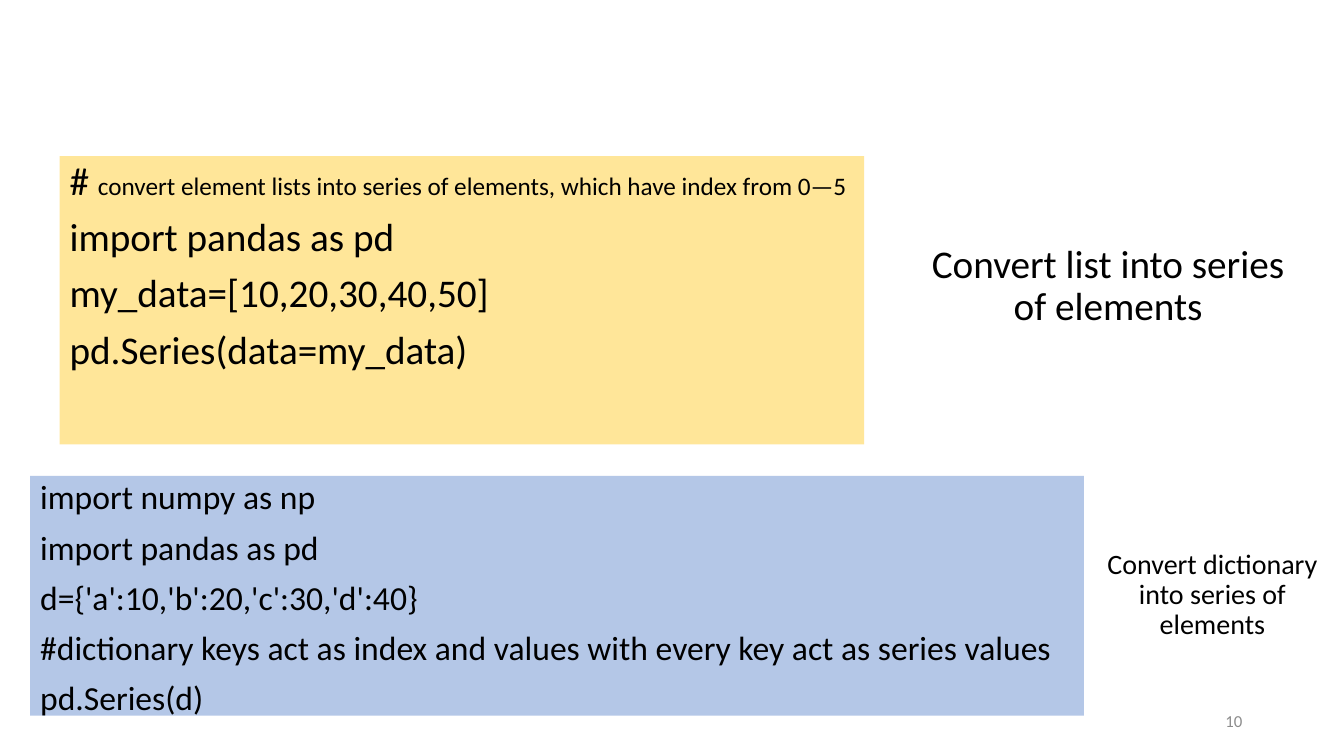
from pptx import Presentation
from pptx.dml.color import RGBColor as Rgb
from pptx.enum.text import MSO_ANCHOR as Anchor, MSO_AUTO_SIZE as Fit, PP_ALIGN as Align
from pptx.oxml.ns import qn
from pptx.util import Inches, Pt
from lxml.etree import SubElement

HUES = {"ink": "000000", "gray": "8C8C8C", "gold": "FFE699", "blue": "B4C7E7"}


def write(par, text, size=28, hue="ink"):
    run = par.add_run()
    run.text = text
    run.font.name = "Calibri"
    run.font.size = Pt(size)
    run.font.color.rgb = Rgb.from_string(HUES[hue])


class Deck:
    def __init__(self):
        self.show = Presentation()
        self.show.slide_width = Inches(13.33)
        self.show.slide_height = Inches(7.5)
        self.slide = self.show.slides.add_slide(self.show.slide_layouts[1])

    def place(self, shape, box):
        shape.left, shape.top, shape.width, shape.height = map(Inches, box)

    def fill(self, shape, lines, size=28, hue="ink", align=Align.LEFT,
             anchor=Anchor.TOP, lead=0.9):
        frame = shape.text_frame
        frame.word_wrap = True
        frame.auto_size = Fit.NONE
        frame.vertical_anchor = anchor
        for i, line in enumerate(lines):
            par = frame.add_paragraph() if i else frame.paragraphs[0]
            par.alignment = align
            par.line_spacing = lead
            par.space_before = Pt(10 if i else 0)
            props = par._p.get_or_add_pPr()
            props.set("marL", "0")
            props.set("indent", "0")
            SubElement(props, qn("a:buNone"))
            parts = [(line, size)] if isinstance(line, str) else line
            for text, points in parts:
                write(par, text, size=points, hue=hue)

    def paint(self, shape, hue):
        shape.fill.solid()
        shape.fill.fore_color.rgb = Rgb.from_string(HUES[hue])

    def title(self, text, box):
        shape = self.slide.shapes.title
        self.place(shape, box)
        self.fill(shape, [text], align=Align.CENTER, anchor=Anchor.MIDDLE)

    def body(self, lines, box, hue):
        shape = self.slide.placeholders[1]
        self.place(shape, box)
        self.paint(shape, hue)
        self.fill(shape, lines)

    def text(self, lines, box, back=None, **style):
        shape = self.slide.shapes.add_textbox(*map(Inches, box))
        if back:
            self.paint(shape, back)
        self.fill(shape, lines, **style)


def main():
    deck = Deck()
    deck.title("Convert list into series of elements", (9.04, 2.12, 3.9, 1.45))
    note = "convert element lists into series of elements, which have index from 0—5"
    deck.body([
        [("# ", 28), (note, 18)],
        "import pandas as pd",
        "my_data=[10,20,30,40,50]",
        "pd.Series(data=my_data)",
    ], (0.59, 1.55, 7.98, 2.86), "gold")
    deck.text(["10"], (9.42, 6.95, 3, 0.4), size=12, hue="gray",
              align=Align.RIGHT, anchor=Anchor.MIDDLE, lead=1.0)
    deck.text([
        "import numpy as np",
        "import pandas as pd",
        "d={'a':10,'b':20,'c':30,'d':40}",
        "#dictionary keys act as index and values with every key act as series values",
        "pd.Series(d)",
    ], (0.3, 4.72, 10.45, 2.38), back="blue", size=24)
    deck.text(["Convert dictionary into series of elements"], (10.72, 5.18, 2.61, 1.45),
              size=20, align=Align.CENTER, anchor=Anchor.MIDDLE)
    deck.show.save("out.pptx")


if __name__ == "__main__":
    main()
